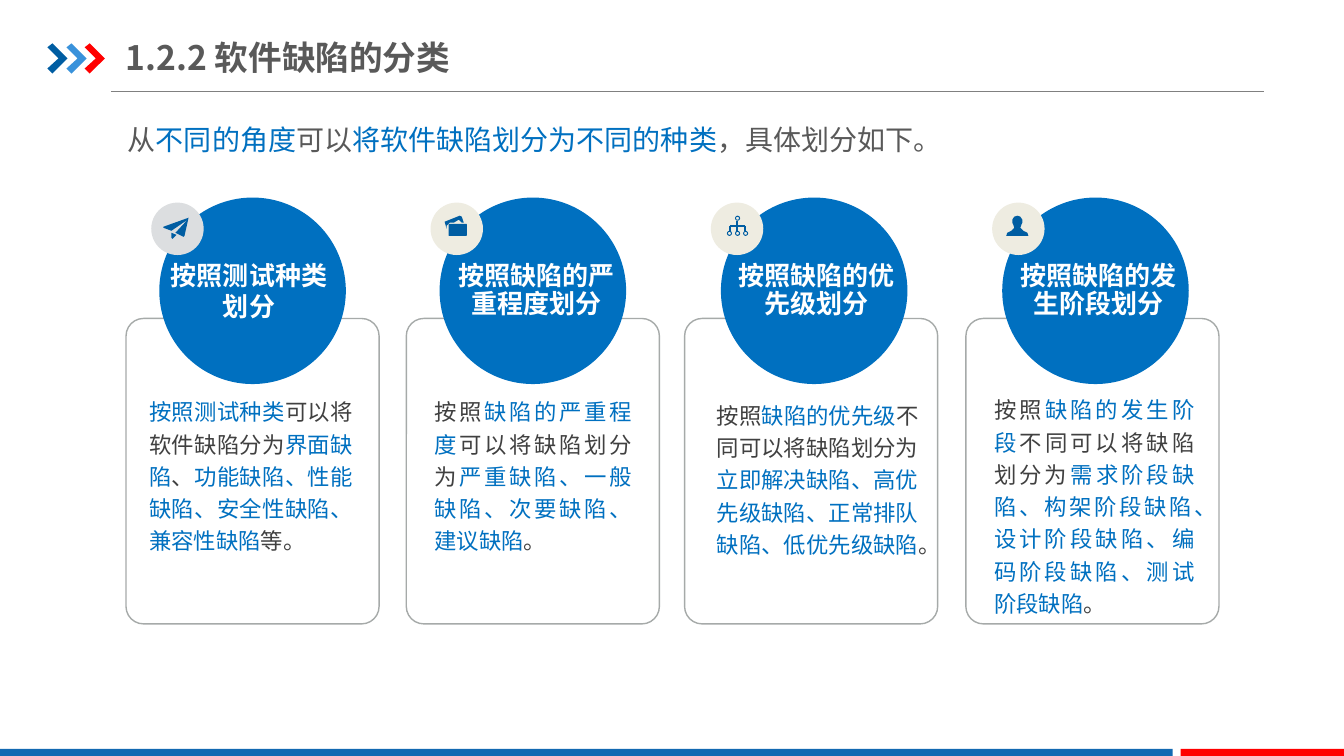
from itertools import cycle
from lxml.etree import SubElement
from pptx import Presentation
from pptx.dml.color import RGBColor
from pptx.enum.shapes import MSO_CONNECTOR, MSO_SHAPE
from pptx.enum.text import MSO_ANCHOR, PP_ALIGN
from pptx.oxml.ns import qn
from pptx.util import Inches, Pt

FONT = "Noto Sans CJK SC"
BLUE, NAVY, RED, WHITE = "0070C0", "005DA2", "FF0000", "FFFFFF"
GREY, DARK = "595959", "404040"


def paint(value):
    return RGBColor.from_string(value)


class Deck:
    def __init__(self):
        self.show = Presentation()
        self.show.slide_width = Inches(13.33)
        self.show.slide_height = Inches(7.5)
        self.slide = self.show.slides.add_slide(self.show.slide_layouts[6])
        self.shapes = self.slide.shapes

    def style(self, shape, fill=None, line=None):
        shape.shadow.inherit = False
        if fill:
            shape.fill.solid()
            shape.fill.fore_color.rgb = paint(fill)
        else:
            shape.fill.background()
        if line:
            shape.line.color.rgb = paint(line)
            shape.line.width = Pt(1)
        else:
            shape.line.fill.background()

    def shape(self, kind, box, fill=None, line=None, adj=None):
        shape = self.shapes.add_shape(kind, *map(Inches, box))
        if adj is not None:
            shape.adjustments[0] = adj
        self.style(shape, fill, line)

    def disc(self, left, top, size, fill):
        self.shape(MSO_SHAPE.OVAL, (left, top, size, size), fill)

    def line(self, start, end, color, width):
        line = self.shapes.add_connector(
            MSO_CONNECTOR.STRAIGHT, *map(Inches, start + end))
        line.line.color.rgb = paint(color)
        line.line.width = Pt(width)
        SubElement(line._element.spPr, qn("a:effectLst"))

    def form(self, fill, *loops):
        loops = [[(Inches(x), Inches(y)) for x, y in loop] for loop in loops]
        build = self.shapes.build_freeform(*loops[0][0], scale=1.0)
        for index, loop in enumerate(loops):
            if index:
                build.move_to(*loop[0])
            build.add_line_segments(loop[1:], close=True)
        self.style(build.convert_to_shape(), fill)

    def text(self, box, words, colors, size, bold=False, align=PP_ALIGN.LEFT,
             space=1.0, inset=(0, 0), anchor=MSO_ANCHOR.MIDDLE):
        frame = self.shapes.add_textbox(*map(Inches, box)).text_frame
        frame.word_wrap = True
        frame.vertical_anchor = anchor
        frame.margin_left = frame.margin_right = Inches(inset[0])
        frame.margin_top = frame.margin_bottom = Inches(inset[1])
        para = frame.paragraphs[0]
        para.alignment = align
        para.line_spacing = space
        for word, color in zip(words, cycle(colors)):
            run = para.add_run()
            run.text = word
            font = run.font
            font.name, font.size, font.bold = FONT, Pt(size), bold
            font.color.rgb = paint(color)
            SubElement(run._r.get_or_add_rPr(), qn("a:ea"), typeface=FONT)


def plane(deck):
    deck.form(NAVY, [(1.7, 2.36), (1.71, 2.37), (1.75, 2.33), (1.7, 2.31)],
              [(1.87, 2.16), (1.62, 2.25), (1.62, 2.26), (1.7, 2.29),
               (1.86, 2.18), (1.74, 2.31), (1.82, 2.35), (1.83, 2.34)])


def folder(deck):
    deck.form(NAVY, [(4.6, 2.21), (4.58, 2.15), (4.56, 2.14), (4.41, 2.2),
                     (4.43, 2.27), (4.43, 2.24), (4.46, 2.21), (4.5, 2.21),
                     (4.55, 2.18), (4.58, 2.21)])
    deck.shape(MSO_SHAPE.ROUNDED_RECTANGLE, (4.45, 2.22, 0.18, 0.12),
               NAVY, adj=0.06)


def tree(deck):
    for x, y in ((7.29, 2.14), (7.21, 2.29), (7.29, 2.29), (7.37, 2.29)):
        deck.shape(MSO_SHAPE.DONUT, (x, y, 0.05, 0.05), NAVY, adj=0.2)
    deck.line((7.24, 2.24), (7.39, 2.24), NAVY, 1.25)
    for x, y in ((7.24, 2.24), (7.31, 2.19), (7.39, 2.24)):
        deck.line((x, y), (x, 2.29), NAVY, 1.25)


def person(deck):
    half = [(0, 2.14), (0.03, 2.15), (0.05, 2.18), (0.05, 2.21),
            (0.04, 2.23), (0.03, 2.26), (0.06, 2.29), (0.1, 2.31),
            (0.11, 2.34)]
    deck.form(NAVY, [(10.09 + x, y) for x, y in half]
              + [(10.09 - x, y) for x, y in reversed(half)])


COLUMNS = [
    (1.25, 1.58, 1.5, "DCDEE0", plane, "按照测试种类划分",
     (1.54, 2.57, 1.86, 0.63), 1.0, (1.38, 4.03, 2.22, 1.34), (0.1, 0.05),
     (BLUE, DARK),
     ("按照测试种类", "可以将软件缺陷分为", "界面缺陷", "、",
      "功能缺陷、性能缺陷、安全性缺陷、兼容性缺陷", "等。")),
    (4.03, 4.36, 4.27, "EEECE1", folder, "按照缺陷的严重程度划分",
     (4.46, 2.57, 1.73, 0.63), 0.9, (4.31, 3.98, 1.96, 1.44), (0, 0),
     (DARK, BLUE),
     ("按照", "缺陷的严重程度", "可以将缺陷划分为",
      "严重缺陷、一般缺陷、次要缺陷、建议缺陷", "。")),
    (6.79, 7.15, 7.05, "EEECE1", tree, "按照缺陷的优先级划分",
     (7.23, 2.57, 1.73, 0.63), 0.9, (7.11, 4.04, 2, 1.39), (0, 0),
     (DARK, BLUE),
     ("按照", "缺陷的优先级", "不同可以将缺陷划分为",
      "立即解决缺陷、高优先级缺陷、正常排队缺陷、低优先级缺陷", "。")),
    (9.58, 9.94, 9.84, "EEECE1", person, "按照缺陷的发生阶段划分",
     (10.03, 2.57, 1.73, 0.63), 0.9, (9.86, 4.38, 1.99, 1.24), (0, 0),
     (DARK, BLUE),
     ("按照", "缺陷的发生阶段", "不同可以将缺陷划分为",
      "需求阶段缺陷、构架阶段缺陷、设计阶段缺陷、编码阶段缺陷、测试阶段缺陷",
      "。")),
]


def main():
    deck = Deck()
    deck.line((1.1, 0.91), (12.54, 0.91), "808080", 0.75)
    arrow = [(0, 0.47), (0.05, 0.43), (0.2, 0.58),
             (0.05, 0.73), (0, 0.68), (0.11, 0.58)]
    for left, color in zip((0.47, 0.66, 0.84), (NAVY, "3992DB", RED)):
        deck.form(color, [(left + x, y) for x, y in arrow])
    deck.shape(MSO_SHAPE.RECTANGLE, (0, 7.43, 11.63, 0.09), "1369B2")
    deck.shape(MSO_SHAPE.RECTANGLE, (11.71, 7.43, 1.63, 0.09), RED)
    deck.text((1.25, 0.29, 4.26, 0.55), ["1.2.2 软件缺陷的分类"], [GREY],
              24, True, inset=(0, 0.07))
    deck.text((1.17, 1, 10.99, 0.68),
              ("从", "不同的角度", "可以", "将软件缺陷划分为不同的种类",
               "，具体划分如下。"), (GREY, BLUE), 20, align=PP_ALIGN.JUSTIFY,
              space=1.5, inset=(0.1, 0.05), anchor=MSO_ANCHOR.TOP)
    for (card, disc, badge, tint, icon, title, head, space,
         body, inset, colors, words) in COLUMNS:
        deck.shape(MSO_SHAPE.ROUNDED_RECTANGLE, (card, 3.16, 2.51, 3.03),
                   line="A6AAA9", adj=0.069)
        deck.disc(disc, 1.96, 1.85, BLUE)
        deck.disc(badge, 2.01, 0.52, tint)
        icon(deck)
        deck.text(head, [title], [WHITE], 18.6, True, PP_ALIGN.CENTER,
                  space, inset)
        deck.text(body, words, colors, 16, align=PP_ALIGN.JUSTIFY,
                  space=1.2, inset=inset)
    deck.show.save("out.pptx")


if __name__ == "__main__":
    main()
